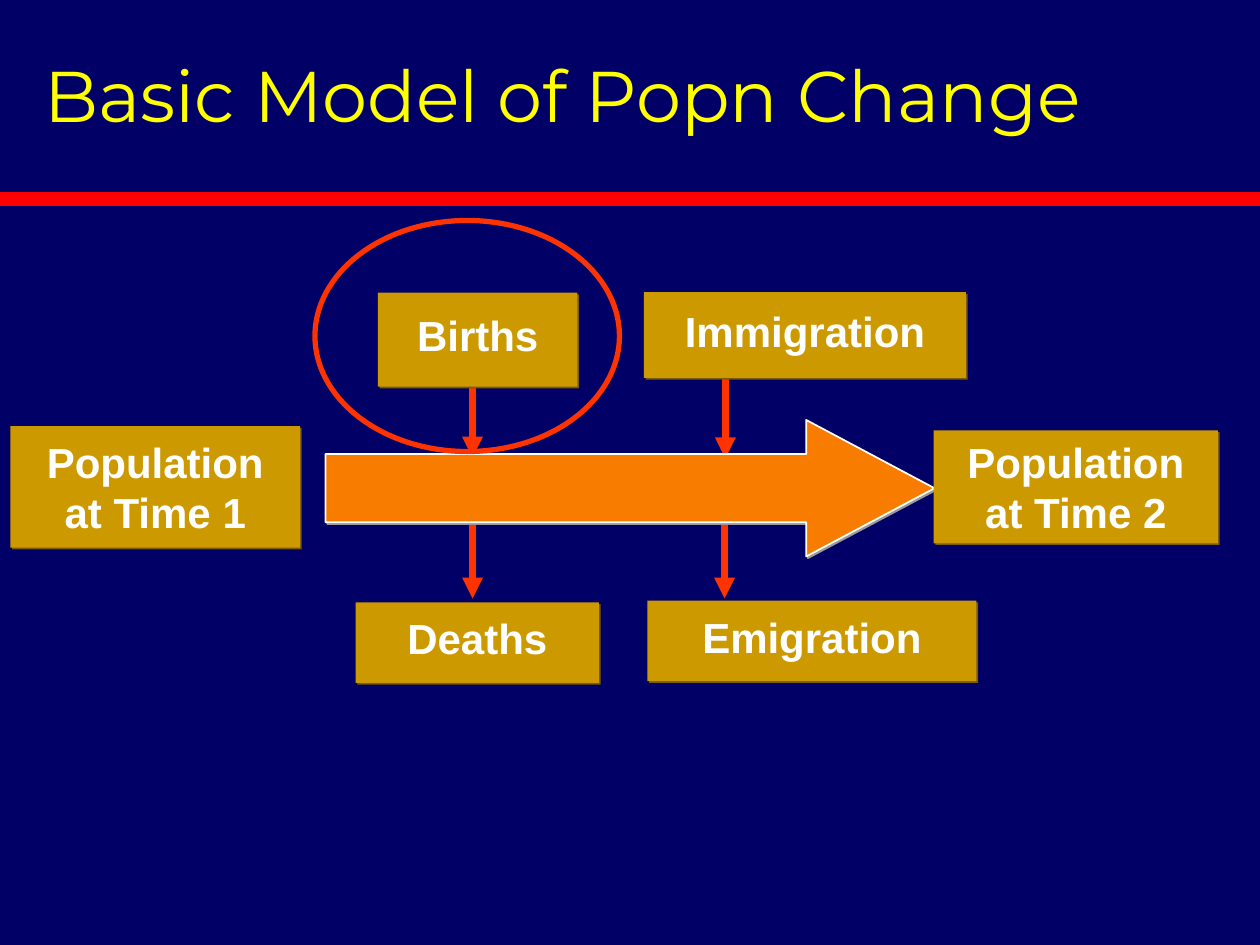
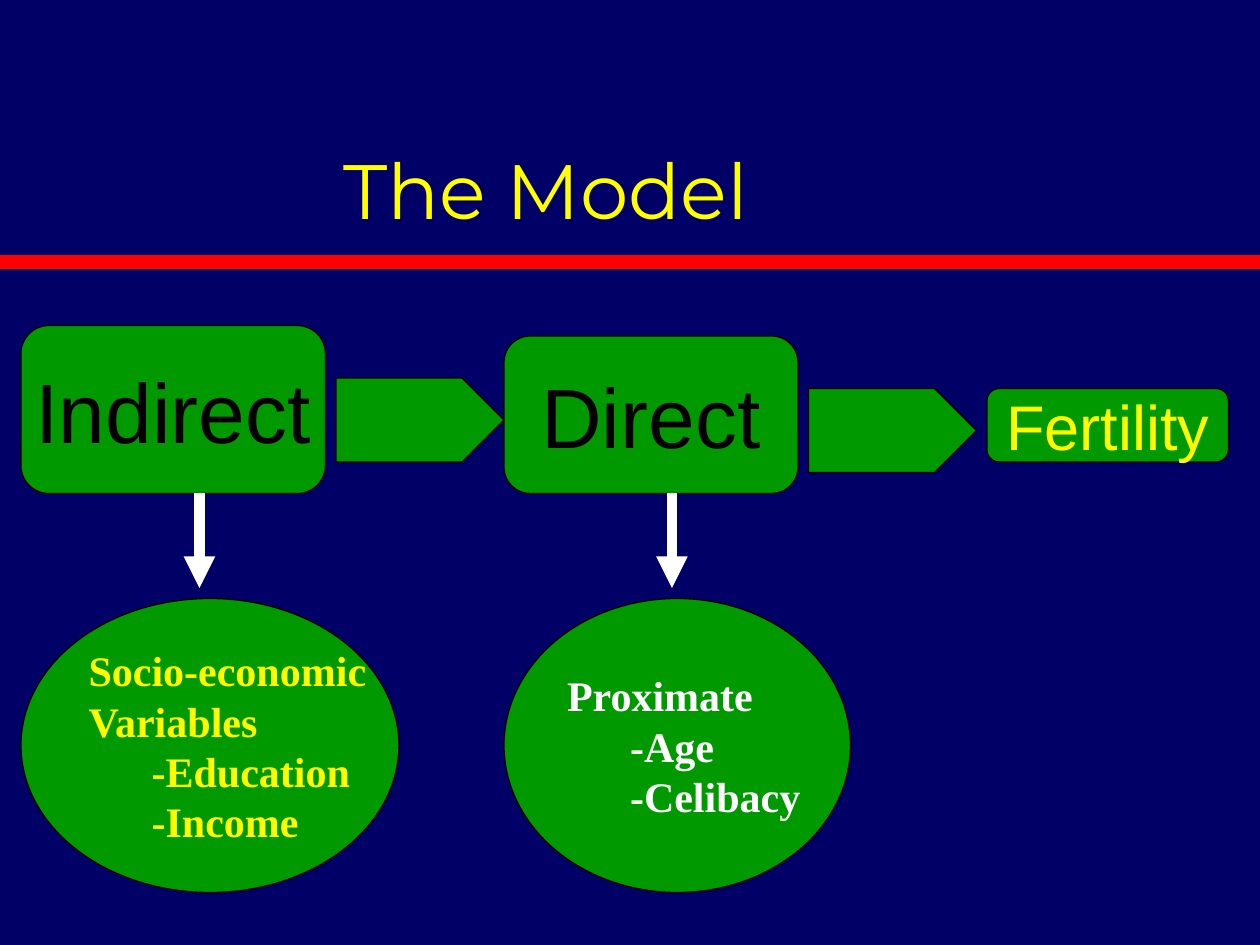
import lxml.etree
import pptx
import pptx.dml.color
import pptx.enum.shapes
import pptx.enum.text
import pptx.oxml
import pptx.oxml.ns
import pptx.util

Pt = pptx.util.Pt
RGB = pptx.dml.color.RGBColor
Shape = pptx.enum.shapes.MSO_SHAPE
Align = pptx.enum.text.PP_ALIGN
Anchor = pptx.enum.text.MSO_ANCHOR
qn = pptx.oxml.ns.qn

NAVY = RGB(0x00, 0x00, 0x66)
YELLOW = RGB(0xFF, 0xFF, 0x00)
RED = RGB(0xFF, 0x00, 0x00)
VERMILION = RGB(0xFF, 0x33, 0x00)
ORANGE = RGB(0xF8, 0x7C, 0x00)
GOLD = RGB(0xCC, 0x99, 0x00)
GOLD_SHADE = RGB(0x7A, 0x5C, 0x00)
GREY = RGB(0x99, 0x99, 0x99)
GREEN = RGB(0x00, 0x99, 0x00)
WHITE = RGB(0xFF, 0xFF, 0xFF)
BLACK = RGB(0x00, 0x00, 0x00)


def write_text(frame, text, font="Arial", size=24, color=WHITE, bold=False, align=Align.CENTER,
               anchor=Anchor.MIDDLE, wrap=True, line_spacing=None, indent=36):
    frame.auto_size = pptx.enum.text.MSO_AUTO_SIZE.NONE
    frame.word_wrap = wrap
    frame.vertical_anchor = anchor
    frame.margin_left = frame.margin_right = Pt(7.2)
    frame.margin_top = frame.margin_bottom = Pt(3.6)
    for index, line in enumerate(text.split("\n")):
        paragraph = frame.add_paragraph() if index else frame.paragraphs[0]
        paragraph.alignment = align
        if line_spacing:
            paragraph.line_spacing = line_spacing
        if line.startswith("-"):
            paragraph.level = 1
            properties = paragraph._p.get_or_add_pPr()
            properties.set("marL", str(Pt(indent)))
            properties.set("indent", "0")
        run = paragraph.add_run()
        run.text = line
        run.font.name = font
        run.font.size = Pt(size)
        run.font.bold = bold
        run.font.color.rgb = color


class Deck:
    def __init__(self):
        self.presentation = pptx.Presentation()
        self.presentation.slide_width = Pt(720)
        self.presentation.slide_height = Pt(540)
        background = self.presentation.slide_master.background.fill
        background.solid()
        background.fore_color.rgb = NAVY
        self.slide = None

    def start_slide(self, title, left, top, width, height, rule_y, **text_format):
        self.slide = self.presentation.slides.add_slide(self.presentation.slide_layouts[5])
        heading = self.slide.shapes.title
        heading.left, heading.top = Pt(left), Pt(top)
        heading.width, heading.height = Pt(width), Pt(height)
        write_text(heading.text_frame, title, font="Montserrat", color=YELLOW, **text_format)
        self.line(0, rule_y, 720, rule_y, RED, 8)

    def line(self, x1, y1, x2, y2, color, weight, arrow=False):
        connector = self.slide.shapes.add_connector(
            pptx.enum.shapes.MSO_CONNECTOR.STRAIGHT, Pt(x1), Pt(y1), Pt(x2), Pt(y2))
        connector.line.color.rgb = color
        connector.line.width = Pt(weight)
        if arrow:
            lxml.etree.SubElement(connector.line._get_or_add_ln(), qn("a:tailEnd"), type="triangle")
        lxml.etree.SubElement(connector._element.spPr, qn("a:effectLst"))

    def arrow_down(self, x, top, bottom, color, weight):
        self.line(x, top, x, bottom, color, weight, arrow=True)

    def shape(self, kind, left, top, width, height, fill=None, outline=None, weight=0.75,
              shade=None, text=None, **text_format):
        shape = self.slide.shapes.add_shape(kind, Pt(left), Pt(top), Pt(width), Pt(height))
        shape.shadow.inherit = False
        if fill is None:
            shape.fill.background()
        else:
            shape.fill.solid()
            shape.fill.fore_color.rgb = fill
        if outline is None:
            shape.line.fill.background()
        else:
            shape.line.color.rgb = outline
            shape.line.width = Pt(weight)
        if shade is not None:
            effects = shape._element.spPr.find(qn("a:effectLst"))
            shadow = lxml.etree.SubElement(effects, qn("a:outerShdw"), dist=str(Pt(1.4)),
                                           dir="2700000", algn="ctr", rotWithShape="0")
            lxml.etree.SubElement(shadow, qn("a:srgbClr"), val=str(shade))
        if text:
            write_text(shape.text_frame, text, **text_format)
        return shape

    def factor_box(self, text, left, top, width, height, line_spacing=0.8):
        self.shape(Shape.RECTANGLE, left, top, width, height, GOLD, shade=GOLD_SHADE,
                   text=text, bold=True, line_spacing=line_spacing)

    def green_shape(self, kind, left, top, width, height, text=None, **text_format):
        self.shape(kind, left, top, width, height, GREEN, BLACK, text=text, wrap=False, **text_format)

    def variables_oval(self, text, left, width, color):
        self.green_shape(Shape.OVAL, left, 342, width, 168, text, font="Times New Roman",
                         color=color, bold=True, align=Align.LEFT)


def population_change(deck):
    deck.start_slide("Basic Model of Popn Change", 18, 12, 696, 90, rule_y=114,
                     size=41, align=Align.LEFT, line_spacing=0.9)
    for x, top, bottom in ((414, 279.5, 342), (270, 217, 261.5), (270, 292, 342), (414.5, 205, 262)):
        deck.arrow_down(x, top, bottom, VERMILION, 4)
    time_arrow = deck.shape(Shape.RIGHT_ARROW, 186, 240, 348, 78, ORANGE, WHITE, 1, shade=GREY)
    time_arrow.adjustments[1] = 0.94
    for text, left, top, width, height in (("Population at Time 1", 6, 243.5, 165.5, 69.5),
                                           ("Population at Time 2", 533.5, 246, 162.5, 64.5)):
        deck.factor_box(text, left, top, width, height, line_spacing=None)
    for text, left, top, width, height in (("Births", 216, 167.25, 114, 53.75),
                                           ("Immigration", 368, 167, 184, 49),
                                           ("Deaths", 203.25, 344.25, 139, 46),
                                           ("Emigration", 370, 343.25, 188, 46)):
        deck.factor_box(text, left, top, width, height)
    deck.shape(Shape.OVAL, 180, 126, 174, 132, outline=VERMILION, weight=3)


def fertility_model(deck):
    deck.start_slide("The Model", 18, 25, 588, 113, rule_y=150, size=44, anchor=Anchor.BOTTOM)
    for text, left, top, width, height, size, color in (
            ("Indirect", 12, 186, 174, 120, 48, BLACK),
            ("Direct", 288, 192, 168, 90, 48, BLACK),
            ("Fertility", 564, 222, 138, 42, 36, YELLOW)):
        if text != "Fertility":
            height = 282 - top
        deck.green_shape(Shape.ROUNDED_RECTANGLE, left, top, width, height, text, size=size, color=color)
    for left, top in ((192, 216), (462, 222)):
        deck.green_shape(Shape.PENTAGON, left, top, 96, 48)
    deck.variables_oval("Socio-economic\nVariables\n-Education\n-Income", 12, 216, YELLOW)
    deck.variables_oval("Proximate\n-Age\n-Celibacy", 288, 198, WHITE)
    for x in (114, 384):
        deck.arrow_down(x, 282, 336, WHITE, 6)


def main():
    deck = Deck()
    population_change(deck)
    fertility_model(deck)
    deck.presentation.save("out.pptx")


if __name__ == "__main__":
    main()
